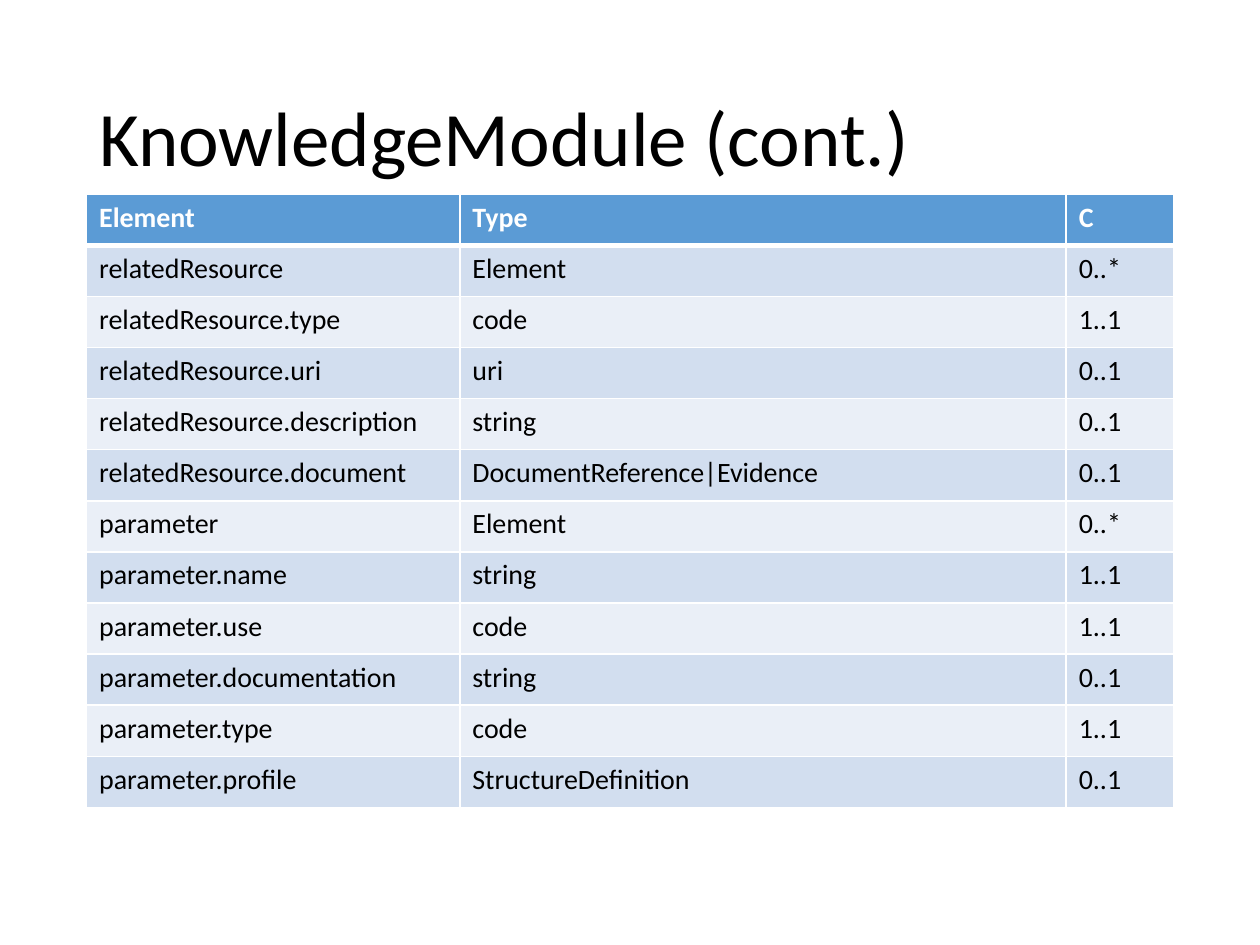
import pptx
import pptx.dml.color
import pptx.enum.text
import pptx.oxml
import pptx.util
import lxml.etree

Pt = pptx.util.Pt

# Content
TITLE = "KnowledgeModule (cont.)"
HEADER = ("Element", "Type", "C")
ELEMENTS = [
    ("relatedResource", "Element", "0..*"),
    ("relatedResource.type", "code", "1..1"),
    ("relatedResource.uri", "uri", "0..1"),
    ("relatedResource.description", "string", "0..1"),
    ("relatedResource.document", "DocumentReference|Evidence", "0..1"),
    ("parameter", "Element", "0..*"),
    ("parameter.name", "string", "1..1"),
    ("parameter.use", "code", "1..1"),
    ("parameter.documentation", "string", "0..1"),
    ("parameter.type", "code", "1..1"),
    ("parameter.profile", "StructureDefinition", "0..1"),
]

THEME = {
    "font": "Calibri", "title_size": 44, "cell_size": 16,
    "text": "000000", "header_text": "FFFFFF", "border": "FFFFFF",
    "header_fill": "5B9BD5", "bands": ("D2DEEF", "EAEFF7"),
    "thin": 1, "thick": 3,
}

# Layout in points
LEFT, WIDTH = 49.5, 621
TITLE_TOP, TITLE_HEIGHT = 28.75, 104.4
TABLE_TOP, ROW_HEIGHT = 111, 29.2
COLUMN_WIDTHS = (213.3, 346.5, 61.2)


def style_text(para, size, color, bold=False):
    for span in para.runs:
        span.font.name = THEME["font"]
        span.font.size = Pt(size)
        span.font.bold = bold
        span.font.color.rgb = pptx.dml.color.RGBColor.from_string(color)


def set_borders(cell, widths):
    properties = cell._tc.get_or_add_tcPr()
    for side, width in widths.items():
        line = lxml.etree.SubElement(
            properties, pptx.oxml.ns.qn(f"a:ln{side}"), w=str(Pt(width)))
        fill = lxml.etree.SubElement(line, pptx.oxml.ns.qn("a:solidFill"))
        lxml.etree.SubElement(
            fill, pptx.oxml.ns.qn("a:srgbClr"), val=THEME["border"])


def add_title(page):
    box = page.shapes.title
    box.left, box.top = Pt(LEFT), Pt(TITLE_TOP)
    box.width, box.height = Pt(WIDTH), Pt(TITLE_HEIGHT)
    frame = box.text_frame
    frame.text = TITLE
    frame.word_wrap = True
    frame.vertical_anchor = pptx.enum.text.MSO_ANCHOR.MIDDLE
    para = frame.paragraphs[0]
    para.alignment = pptx.enum.text.PP_ALIGN.LEFT
    para.line_spacing = 0.9
    style_text(para, THEME["title_size"], THEME["text"])


def add_element_table(page):
    rows = [HEADER] + ELEMENTS
    table = page.shapes.add_table(
        len(rows), len(HEADER), Pt(LEFT), Pt(TABLE_TOP),
        Pt(WIDTH), Pt(ROW_HEIGHT * len(rows))).table
    for column, width in zip(table.columns, COLUMN_WIDTHS):
        column.width = Pt(width)
    for index, values in enumerate(rows):
        table.rows[index].height = Pt(ROW_HEIGHT)
        is_header = index == 0
        fill = THEME["header_fill"] if is_header else THEME["bands"][(index - 1) % 2]
        color = THEME["header_text"] if is_header else THEME["text"]
        # The heavy rule lies between the header and the first element
        borders = dict.fromkeys("LRTB", THEME["thin"])
        if index < 2:
            borders["B" if is_header else "T"] = THEME["thick"]
        for cell, value in zip(table.rows[index].cells, values):
            cell.text_frame.text = value
            style_text(cell.text_frame.paragraphs[0], THEME["cell_size"],
                       color, is_header)
            set_borders(cell, borders)
            cell.fill.solid()
            cell.fill.fore_color.rgb = pptx.dml.color.RGBColor.from_string(fill)


def main():
    deck = pptx.Presentation()
    deck.slide_width, deck.slide_height = Pt(720), Pt(540)
    page = deck.slides.add_slide(deck.slide_layouts[5])
    add_title(page)
    add_element_table(page)
    deck.save("out.pptx")


if __name__ == "__main__":
    main()
